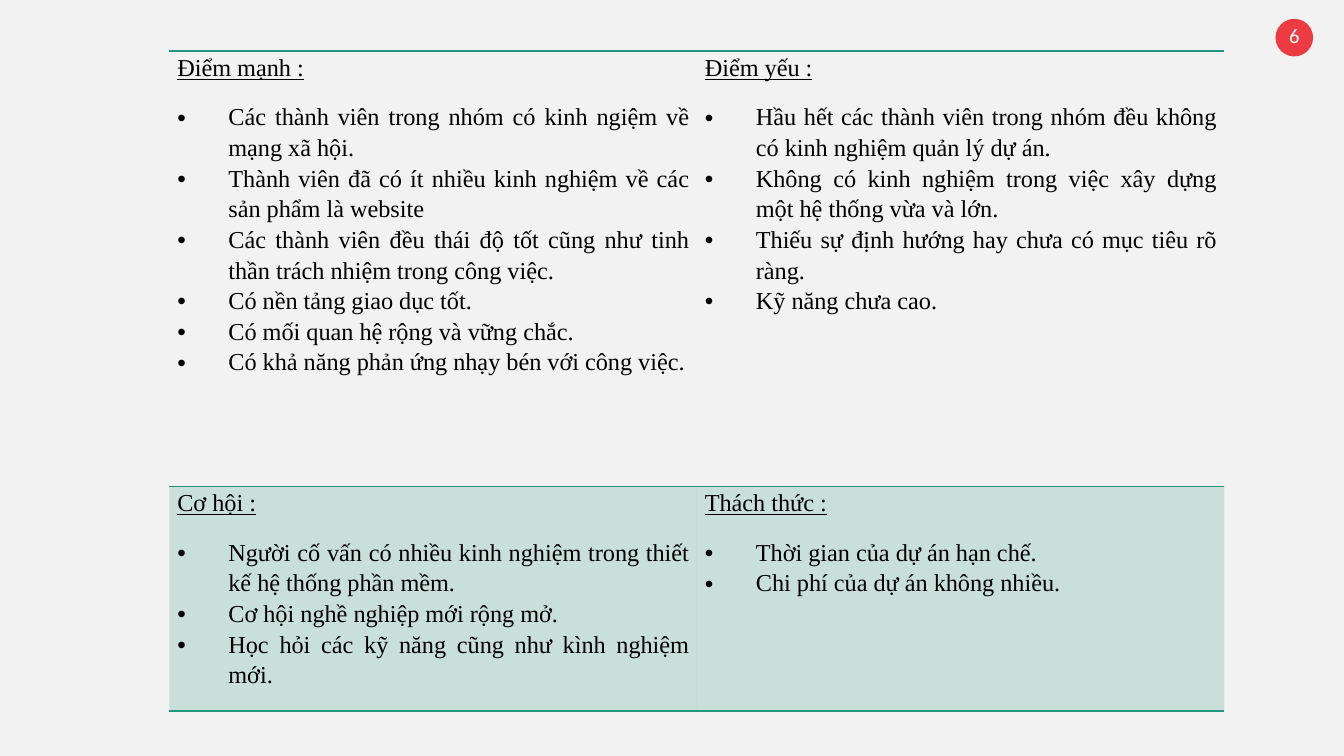
from lxml import etree
from pptx import Presentation
from pptx.dml.color import RGBColor
from pptx.enum.shapes import MSO_SHAPE
from pptx.enum.text import MSO_ANCHOR, PP_ALIGN
from pptx.oxml.ns import qn
from pptx.util import Inches, Pt

ROUNDED = MSO_SHAPE.ROUNDED_RECTANGLE
MIDDLE = MSO_ANCHOR.MIDDLE
CENTER, JUSTIFY = PP_ALIGN.CENTER, PP_ALIGN.JUSTIFY
GREEN = "22957B"
INDENT = Inches(0.38)


def color(hex_string):
    return RGBColor.from_string(hex_string)


def add_border(cell_properties, position, side, visible):
    line = etree.Element(qn(f"a:{side}"), w=str(Pt(1)))
    if visible:
        fill = etree.SubElement(line, qn("a:solidFill"))
        etree.SubElement(fill, qn("a:srgbClr"), val=GREEN)
    else:
        etree.SubElement(line, qn("a:noFill"))
    cell_properties.insert(position, line)


swot = [
    [
        ("Điểm mạnh :", [
            "Các thành viên trong nhóm có kinh ngiệm về mạng xã hội.",
            "Thành viên đã có ít nhiều kinh nghiệm về các sản phẩm là website",
            "Các thành viên đều thái độ tốt cũng như tinh thần trách nhiệm trong công việc.",
            "Có nền tảng giao dục tốt.",
            "Có mối quan hệ rộng và vững chắc.",
            "Có khả năng phản ứng nhạy bén với công việc.",
        ]),
        ("Điểm yếu :", [
            "Hầu hết các thành viên trong nhóm đều không có kinh nghiệm quản lý dự án.",
            "Không có kinh nghiệm trong việc xây dựng một hệ thống vừa và lớn.",
            "Thiếu sự định hướng hay chưa có mục tiêu rõ ràng.",
            "Kỹ năng chưa cao.",
        ]),
    ],
    [
        ("Cơ hội :", [
            "Người cố vấn có nhiều kinh nghiệm trong thiết kế hệ thống phần mềm.",
            "Cơ hội nghề nghiệp mới rộng mở.",
            "Học hỏi các kỹ năng cũng như kình nghiệm mới.",
        ]),
        ("Thách thức :", [
            "Thời gian của dự án hạn chế.",
            "Chi phí của dự án không nhiều.",
        ]),
    ],
]

prs = Presentation()
prs.slide_width = Inches(10)
prs.slide_height = prs.slide_width * 9 // 16
slide = prs.slides.add_slide(prs.slide_layouts[6])
slide.background.fill.solid()
slide.background.fill.fore_color.rgb = color("F2F2F2")

badge = slide.shapes.add_shape(ROUNDED, Inches(9.49), Inches(0.14), Inches(0.28), Inches(0.28))
badge.adjustments[0] = 0.5
badge.rotation = 90
badge.shadow.inherit = False
badge.fill.solid()
badge.fill.fore_color.rgb = color("EE3B42")
badge.line.fill.background()

page_number = slide.shapes.add_textbox(Inches(9.33), Inches(0.11), Inches(0.6), Inches(0.3))
page_number.text_frame.word_wrap = True
page_number.text_frame.vertical_anchor = MIDDLE
page_number.text_frame.text = "6"
digit = page_number.text_frame.paragraphs[0]
digit.alignment = CENTER
digit.runs[0].font.name = "Calibri"
digit.runs[0].font.size = Pt(11)
digit.runs[0].font.color.rgb = color("FFFFFF")

matrix = slide.shapes.add_table(
    2, 2, Inches(1.26), Inches(0.38), Inches(7.85), Inches(4.91)).table
matrix.first_row = False
matrix.horz_banding = False
for row, height in zip(matrix.rows, (3.24, 1.67)):
    row.height = Inches(height)

for row_index, quadrants in enumerate(swot):
    for column_index, (heading, points) in enumerate(quadrants):
        cell = matrix.cell(row_index, column_index)
        cell.margin_left = cell.margin_right = Inches(0.06)
        cell.margin_top = cell.margin_bottom = 0
        cell.text_frame.text = "\n".join([heading, *points])
        for index, paragraph in enumerate(cell.text_frame.paragraphs):
            paragraph.line_spacing = 1.15
            paragraph.space_after = Pt(10 if index in (0, len(points)) else 0)
            font = paragraph.runs[0].font
            font.name = "Times New Roman"
            font.size = Pt(13)
            font.color.rgb = color("000000")
            font.underline = index == 0
            if index > 0:
                paragraph.alignment = JUSTIFY
                properties = paragraph._p.get_or_add_pPr()
                properties.set("marL", str(INDENT))
                properties.set("indent", str(-INDENT))
                etree.SubElement(properties, qn("a:buFont"), typeface="Arial")
                etree.SubElement(properties, qn("a:buChar"), char="•")

        cell_properties = cell._tc.get_or_add_tcPr()
        if row_index == 0:
            cell.fill.background()
        else:
            cell.fill.solid()
            cell.fill.fore_color.rgb = color(GREEN)
            tint = cell_properties.find(f".//{qn('a:srgbClr')}")
            etree.SubElement(tint, qn("a:alpha"), val="20000")
        for position, side in enumerate(("lnL", "lnR", "lnT", "lnB")):
            add_border(cell_properties, position, side, side in ("lnT", "lnB"))

prs.save("out.pptx")
